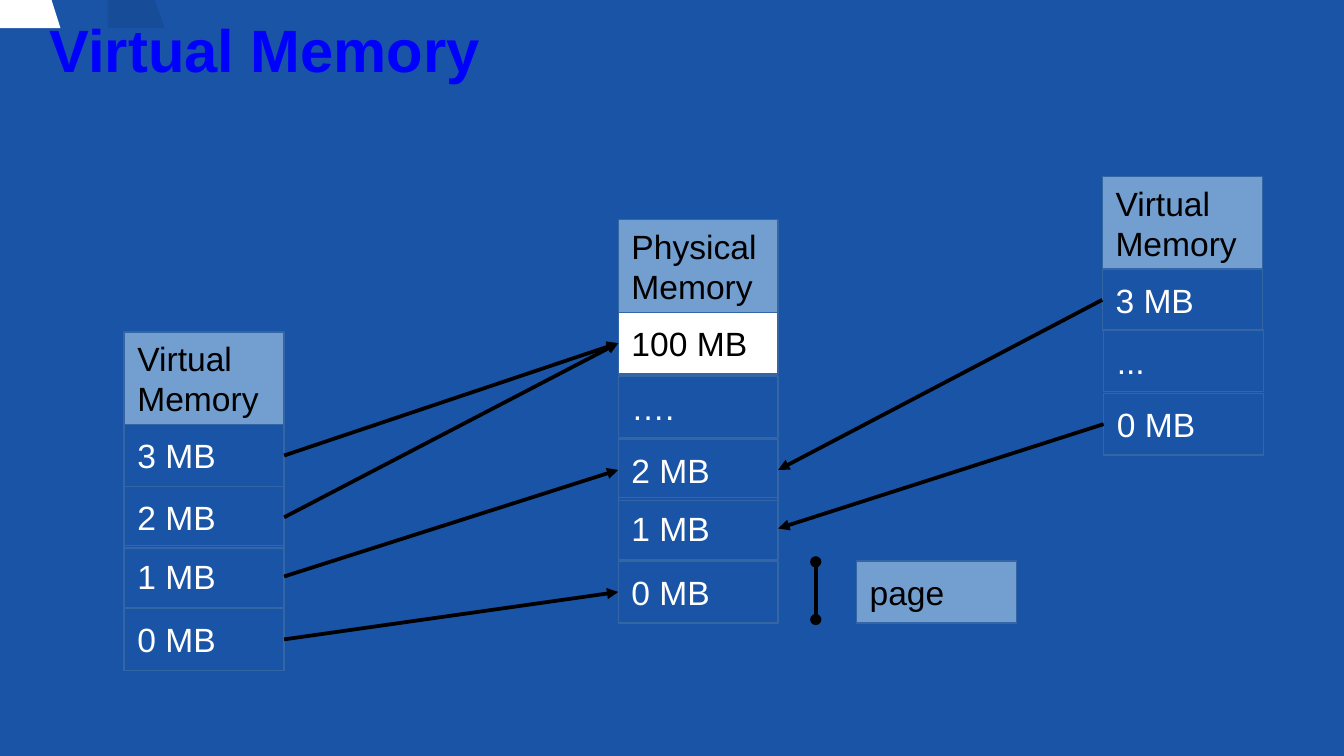
from dataclasses import dataclass
from pptx import Presentation
from pptx.dml.color import RGBColor as Rgb
from pptx.enum.shapes import MSO_CONNECTOR as Conn, MSO_SHAPE as Shape
from pptx.enum.text import MSO_ANCHOR as Anchor, MSO_AUTO_SIZE as Fit, PP_ALIGN as Align
from pptx.oxml.ns import qn
from pptx.util import Pt
from lxml.etree import SubElement as Sub


@dataclass(frozen=True)
class Theme:
    """Hold the colours, type sizes and box sizes."""
    back: str = "1A54A6"
    title: str = "0000FF"
    head: str = "729FCF"
    edge: str = "3465A4"
    ink: str = "000000"
    white: str = "FFFFFF"
    font: str = "Arial"
    big: int = 32
    body: int = 18
    wide: float = 85.7
    cell: float = 33.1
    tall: float = 49.7


THEME = Theme()
LEFT, RIGHT = 1, 3


def paint(fill, tint):
    """Give a fill one solid colour."""
    fill.solid()
    fill.fore_color.rgb = Rgb.from_string(tint)


def write(frame, text, size=THEME.body, tint=THEME.ink, bold=False,
          anchor=Anchor.MIDDLE, wrap=False, inset=3.6):
    """Fill a text frame and format its paragraphs."""
    frame.text = text
    frame.auto_size = Fit.NONE
    frame.word_wrap = wrap
    frame.vertical_anchor = anchor
    frame.margin_left = frame.margin_right = Pt(7.2)
    frame.margin_top = frame.margin_bottom = Pt(inset)
    for para in frame.paragraphs:
        para.alignment = Align.LEFT
        font = para.font
        font.name, font.size, font.bold = THEME.font, Pt(size), bold
        font.color.rgb = Rgb.from_string(tint)


def add_box(slide, text, x, y, high=THEME.cell, fill=None, tint=THEME.ink):
    """Draw one outlined memory box."""
    box = slide.shapes.add_shape(
        Shape.RECTANGLE, Pt(x), Pt(y), Pt(THEME.wide), Pt(high))
    box.shadow.inherit = False
    if fill:
        paint(box.fill, fill)
    else:
        box.fill.background()
    paint(box.line.fill, THEME.edge)
    box.line.width = Pt(0)
    write(box.text_frame, text, tint=tint)
    return box


def add_stack(slide, name, x, top, cells):
    """Draw a headed column and return its cells by label."""
    add_box(slide, name, x, top, THEME.tall, THEME.head)
    stack = {}
    for text, y, shift in cells:
        full = text == "100 MB"
        stack[text] = add_box(slide, text, x + shift, y,
                              fill=THEME.white if full else None,
                              tint=THEME.ink if full else THEME.white)
    return stack


def add_line(slide, start=(0, 0), end=(0, 0), **ends):
    """Draw a hairline with the given end marks."""
    line = slide.shapes.add_connector(Conn.STRAIGHT, *map(Pt, start + end))
    paint(line.line.fill, THEME.ink)
    line.line.width = Pt(0)
    props = line.line._get_or_add_ln()
    for mark, kind in ends.items():
        Sub(props, qn(f"a:{mark}"), type=kind)
    Sub(props.getparent(), qn("a:effectLst"))
    return line


def add_map(slide, page, frame, side):
    """Point a virtual page at its physical frame."""
    line = add_line(slide, tailEnd="triangle")
    line.begin_connect(page, side)
    line.end_connect(frame, LEFT if side == RIGHT else RIGHT)


def add_flag(slide, x, low, high, tint, alpha=100):
    """Draw a slanted corner piece."""
    top, base = Pt(-0.7), Pt(15.1)
    pen = slide.shapes.build_freeform(Pt(x), top)
    pen.add_line_segments([(Pt(x), base), (Pt(low), base), (Pt(high), top)])
    flag = pen.convert_to_shape()
    flag.shadow.inherit = False
    paint(flag.fill, tint)
    flag.line.fill.background()
    color = flag.fill._xPr.find(qn("a:solidFill"))[0]
    Sub(color, qn("a:alpha"), val=str(alpha * 1000))


def main():
    """Build and save the slide."""
    deck = Presentation()
    deck.slide_width, deck.slide_height = Pt(720), Pt(405)
    slide = deck.slides.add_slide(deck.slide_layouts[5])
    paint(slide.background.fill, THEME.back)
    add_flag(slide, 57.6, 88.3, 82.8, THEME.ink, 8)
    add_flag(slide, 0, 32.4, 27.4, THEME.white)

    title = slide.shapes.title
    title.left, title.top, title.width, title.height = map(
        Pt, (19.4, 14.4, 286.6, 38.2))
    write(title.text_frame, "Virtual Memory", size=THEME.big,
          tint=THEME.title, bold=True, anchor=Anchor.BOTTOM, wrap=True, inset=7.2)

    near = add_stack(slide, "Virtual\nMemory", 66.5, 177.8, [
        ("3 MB", 227.5, 0), ("2 MB", 260.6, 0),
        ("1 MB", 292.3, 0), ("0 MB", 326, 0)])
    real = add_stack(slide, "Physical\nMemory", 331.2, 117.6, [
        ("100 MB", 167.3, 0), ("….", 201.4, 0), ("2 MB", 235.2, 0),
        ("1 MB", 266.6, 0), ("0 MB", 300.6, 0)])
    far = add_stack(slide, "Virtual\nMemory", 590.5, 94.6, [
        ("3 MB", 144.1, 0), ("...", 176.7, 0.7), ("0 MB", 210.7, 0.7)])

    for page, frame in (("0 MB", "0 MB"), ("1 MB", "2 MB"),
                        ("2 MB", "100 MB"), ("3 MB", "100 MB")):
        add_map(slide, near[page], real[frame], RIGHT)
    for page, frame in (("0 MB", "1 MB"), ("3 MB", "2 MB")):
        add_map(slide, far[page], real[frame], LEFT)

    add_line(slide, (437, 301), (437, 331.9), headEnd="oval", tailEnd="oval")
    add_box(slide, "page", 458.8, 300.6, fill=THEME.head)
    deck.save("out.pptx")


if __name__ == "__main__":
    main()
